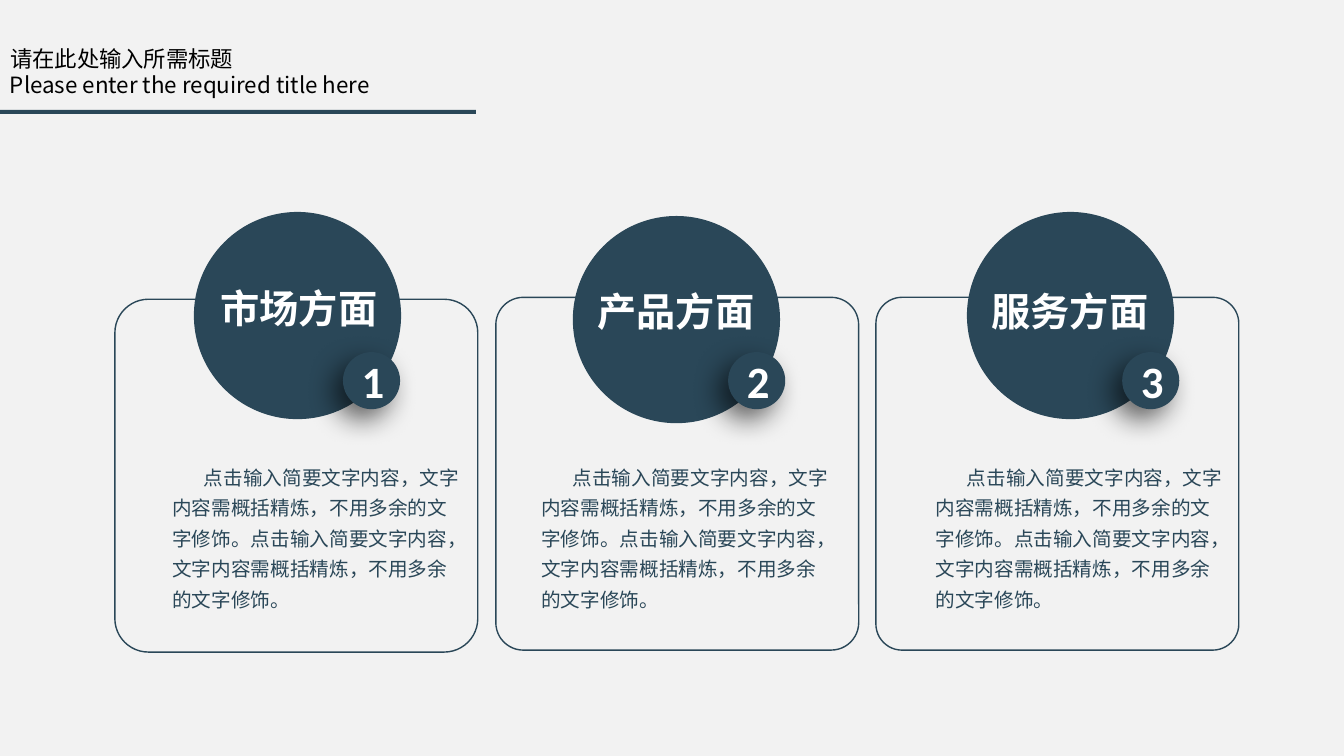
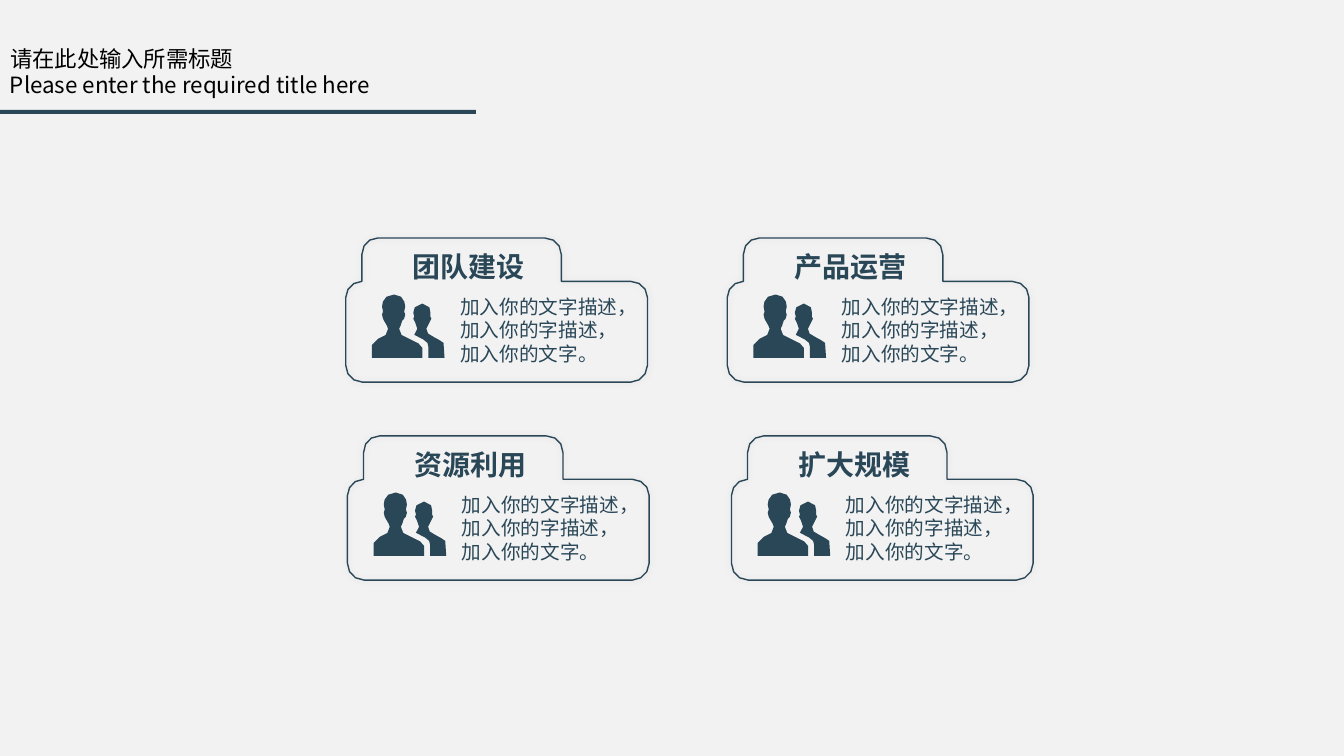
"""Build two slides: three numbered topic cards and four tabbed team cards."""
from dataclasses import dataclass
from math import dist

from lxml import etree
from pptx import Presentation
from pptx.dml.color import RGBColor
from pptx.enum.shapes import MSO_SHAPE
from pptx.enum.text import MSO_ANCHOR, MSO_AUTO_SIZE, PP_ALIGN
from pptx.oxml.ns import qn
from pptx.util import Pt

RECT, ROUND_RECT, OVAL = MSO_SHAPE.RECTANGLE, MSO_SHAPE.ROUNDED_RECTANGLE, MSO_SHAPE.OVAL
TOP, MIDDLE = MSO_ANCHOR.TOP, MSO_ANCHOR.MIDDLE
LEFT, CENTER = PP_ALIGN.LEFT, PP_ALIGN.CENTER
FIXED_SIZE = MSO_AUTO_SIZE.NONE


@dataclass(frozen=True)
class Theme:
    """Colours, fonts and type sizes."""
    accent: str = "2A4758"
    background: str = "F2F2F2"
    title: str = "000000"
    light: str = "FFFFFF"
    font: str = "Noto Sans CJK SC"
    number_font: str = "Calibri"
    title_size: int = 16
    body_size: int = 14
    heading_size: int = 20
    topic_size: int = 28
    number_size: int = 32


T = Theme()
TITLE = "请在此处输入所需标题"
SUBTITLE = "Please enter the required title here"
TOPIC_TEXT = "点击输入简要文字内容，文字内容需概括精炼，不用多余的文字修饰。" * 2
TEAM_TEXT = "加入你的文字描述，加入你的字描述，加入你的文字。"

TOPICS = [
    dict(name="市场方面", card=(82.1, 213.8), corner=0.095, disc=(139, 151.9),
         badge=245.5, label=(150.5, 199.4), body=123.1),
    dict(name="产品方面", card=(354.2, 212.4), corner=0.078, disc=(409.7, 154.8),
         badge=520.6, label=(419.8, 201.6), body=386.6),
    dict(name="服务方面", card=(625.7, 212.4), corner=0.074, disc=(691.2, 151.9),
         badge=802.1, label=(701.3, 201.6), body=668.2),
]
TEAMS = [
    ("团队建设", 247, 170), ("产品运营", 519.5, 170),
    ("资源利用", 248.2, 311.4), ("扩大规模", 522.5, 311.4),
]

# Each contour is a start point, then lines (x, y) or curves (x1, y1, x2, y2, x, y).
TAB_CARD = [[
    (23, 0), (142, 0), (149, 0, 154, 5, 154, 12), (154, 31),
    (203.5, 31), (210, 31, 215.5, 36, 215.5, 42.5),
    (215.5, 91), (215.5, 97.5, 210, 103, 203.5, 103),
    (12, 103), (5, 103, 0, 97.5, 0, 91),
    (0, 42.5), (0, 36.5, 5, 31, 11.5, 31),
    (11.5, 12), (11.5, 5, 16.5, 0, 23, 0),
]]
PEOPLE = [
    [(72, 63), (71, 48), (69, 46, 66, 45, 61, 42),
     (56, 40, 54, 38, 54, 34), (54, 32, 56, 33, 57, 28), (59, 24),
     (58, 22), (58, 18), (59, 16, 57, 9, 50, 9),
     (42, 9, 41, 16, 41, 18), (42, 22), (41, 24),
     (43, 28), (45, 34), (45, 37, 45, 39, 42, 40),
     (54, 46, 56, 47, 56, 52), (56, 63)],
    [(37, 44), (30, 42, 27, 39, 27, 34), (27, 30, 30, 32, 30, 26),
     (31, 23, 33, 26, 33, 20), (32, 17), (33, 12),
     (33, 8, 31, 0, 22, 0), (12, 0, 10, 8, 10, 12), (11, 17),
     (10, 20), (10, 26, 12, 23, 12, 26), (14, 32, 16, 30, 16, 34),
     (16, 39, 13, 42, 6, 44), (4, 45, 0, 47, 0, 50), (0, 63), (50, 63), (50, 53),
     (50, 50, 44, 47, 37, 44)],
]
PEOPLE_SCALE = 0.72
CURVE_STEP = 7


def rgb(code):
    return RGBColor.from_string(code)


def style(sp, fill=None, line=None, shadow=None):
    if fill:
        sp.fill.solid()
        sp.fill.fore_color.rgb = rgb(fill)
    else:
        sp.fill.background()
    if line:
        sp.line.color.rgb = rgb(line)
        sp.line.width = Pt(1)
    else:
        sp.line.fill.background()
    sp.shadow.inherit = False
    if shadow:
        opacity, blur, distance, angle = shadow
        effects = sp._element.spPr.find(qn("a:effectLst"))
        outer = etree.SubElement(effects, qn("a:outerShdw"), blurRad=str(Pt(blur)),
                                 dist=str(Pt(distance)), dir=str(angle * 60000),
                                 algn="ctr", rotWithShape="0")
        color = etree.SubElement(outer, qn("a:srgbClr"), val="000000")
        etree.SubElement(color, qn("a:alpha"), val=str(opacity * 1000))
    return sp


def add_preset(slide, kind, left, top, width, height, **look):
    sp = slide.shapes.add_shape(kind, Pt(left), Pt(top), Pt(width), Pt(height))
    return style(sp, **look)


def flatten(contour):
    points = [contour[0]]
    for segment in contour[1:]:
        if len(segment) == 2:
            points.append(segment)
            continue
        p0, p1, p2, p3 = points[-1], segment[:2], segment[2:4], segment[4:]
        length = dist(p0, p1) + dist(p1, p2) + dist(p2, p3)
        steps = max(1, round(length / CURVE_STEP))
        for step in range(1, steps + 1):
            t = step / steps
            u = 1 - t
            weights = (u ** 3, 3 * t * u * u, 3 * t * t * u, t ** 3)
            points.append(tuple(sum(w * v for w, v in zip(weights, values))
                                for values in zip(p0, p1, p2, p3)))
    return points


def add_outline(slide, contours, left, top, scale=1.0, **look):
    builder = None
    for contour in contours:
        points = [(Pt(x * scale), Pt(y * scale)) for x, y in flatten(contour)]
        if builder is None:
            builder = slide.shapes.build_freeform(*points[0])
        else:
            builder.move_to(*points[0])
        builder.add_line_segments(points[1:], close=True)
    return style(builder.convert_to_shape(Pt(left), Pt(top)), **look)


def write(sp, text, size, color=T.accent, font=T.font, bold=False, align=LEFT,
          anchor=TOP, inset=(7.2, 3.6), spacing=None, indent=0):
    tf = sp.text_frame
    tf.word_wrap = True
    tf.auto_size = FIXED_SIZE
    tf.vertical_anchor = anchor
    tf.margin_left = tf.margin_right = Pt(inset[0])
    tf.margin_top = tf.margin_bottom = Pt(inset[1])
    p = tf.paragraphs[0]
    p.alignment = align
    if spacing:
        p.line_spacing = spacing
    if indent:
        p._p.get_or_add_pPr().set("indent", str(Pt(indent)))
    r = p.add_run()
    r.text = text
    r.font.size, r.font.bold, r.font.name = Pt(size), bold, font
    r.font.color.rgb = rgb(color)
    ea = etree.SubElement(r._r.get_or_add_rPr(), qn("a:ea"))
    ea.set("typeface", font)


def add_text(slide, text, left, top, width, height, size, **look):
    sp = slide.shapes.add_textbox(Pt(left), Pt(top), Pt(width), Pt(height))
    write(sp, text, size, **look)


def new_slide(prs, layout):
    slide = prs.slides.add_slide(layout)
    write(slide.shapes.title, TITLE, T.title_size, color=T.title)
    add_text(slide, SUBTITLE, 0, 47.5, 312, 26.6, T.title_size, color=T.title)
    add_preset(slide, RECT, 0, 78.5, 340, 2.9, fill=T.accent)
    return slide


def add_topic(slide, number, topic):
    card = add_preset(slide, ROUND_RECT, *topic["card"], 259.2, 252, line=T.accent)
    card.adjustments[0] = topic["corner"]
    add_preset(slide, OVAL, *topic["disc"], 147, 147, fill=T.accent, line=T.accent)
    badge = add_preset(slide, OVAL, topic["badge"], 252, 39.8, 39.8,
                       fill=T.accent, line=T.accent, shadow=(60, 20, 10, 135))
    write(badge, str(number), T.number_size, color=T.light, font=T.number_font,
          bold=True, align=CENTER, anchor=MIDDLE)
    add_text(slide, topic["name"], *topic["label"], 135.4, 41, T.topic_size,
             color=T.light, bold=True)
    add_text(slide, TOPIC_TEXT, topic["body"], 327.6, 206, 110, T.body_size,
             inset=(0, 0), spacing=1.3, indent=22.5)


def add_team(slide, name, left, top):
    add_outline(slide, TAB_CARD, left, top, line=T.accent, shadow=(10, 5, 0, 225))
    add_outline(slide, PEOPLE, left + 18.7, top + 40.4, PEOPLE_SCALE, fill=T.accent)
    add_text(slide, TEAM_TEXT, left + 74.7, top + 40.4, 136.1, 43, T.body_size,
             inset=(7.2, 0))
    add_text(slide, name, left + 40.8, top + 8, 102, 43, T.heading_size,
             bold=True, inset=(7.2, 0))


def main():
    prs = Presentation()
    prs.slide_width, prs.slide_height = Pt(960), Pt(540)
    backdrop = prs.slide_master.background.fill
    backdrop.solid()
    backdrop.fore_color.rgb = rgb(T.background)
    layout = prs.slide_layouts.get_by_name("Title Only")
    title = layout.placeholders[0]
    title.left, title.top, title.width, title.height = Pt(0), Pt(28.8), Pt(276), Pt(26.6)

    slide = new_slide(prs, layout)
    for number, topic in enumerate(TOPICS, 1):
        add_topic(slide, number, topic)

    slide = new_slide(prs, layout)
    for team in TEAMS:
        add_team(slide, *team)

    prs.save("out.pptx")


if __name__ == "__main__":
    main()
